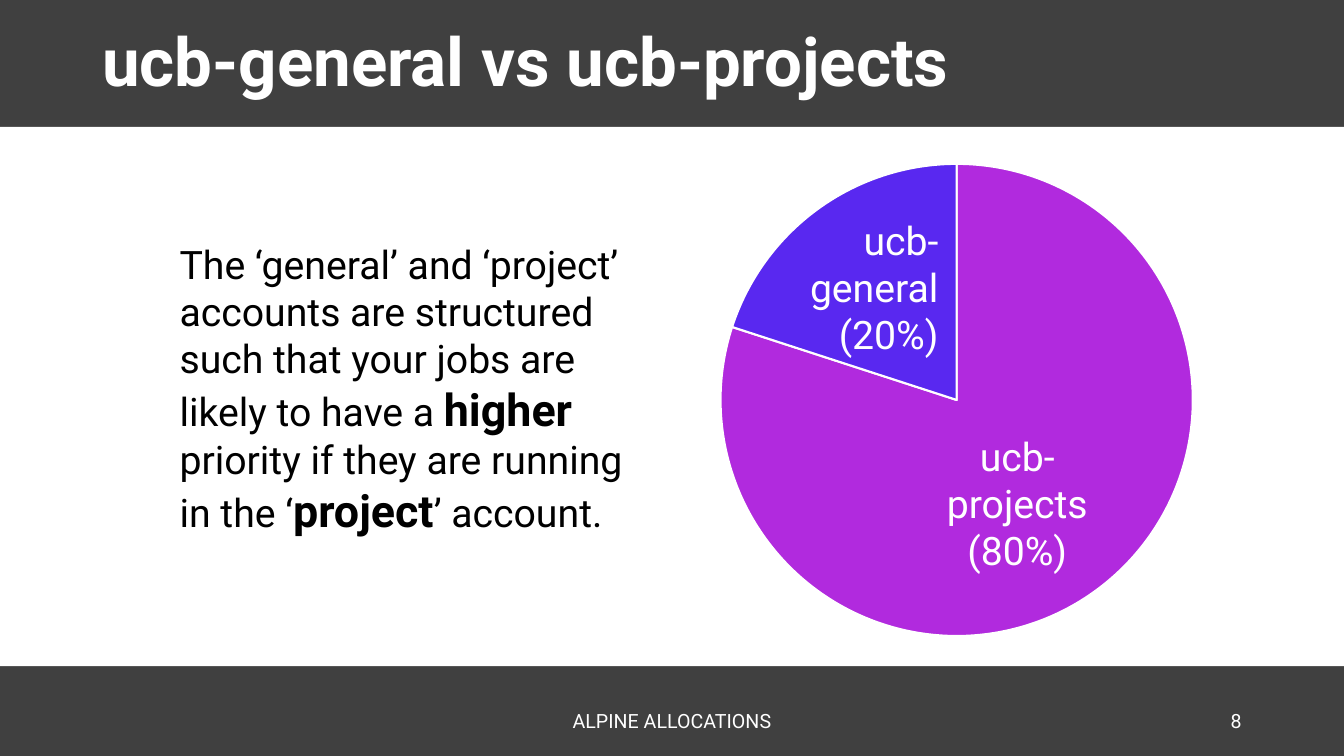
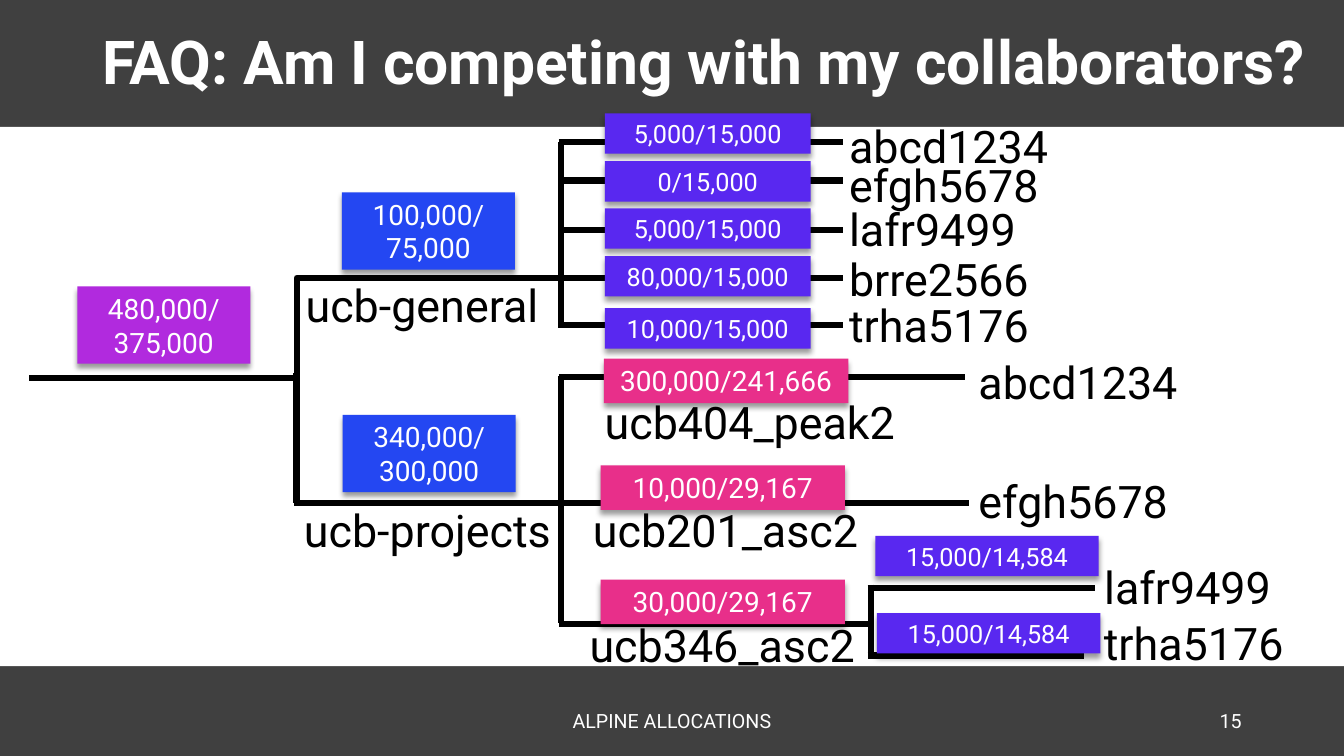
from lxml import etree
from pptx import Presentation
from pptx import util as u
from pptx.chart.data import CategoryChartData
from pptx.dml.color import RGBColor
from pptx.enum import chart as charts, shapes, text
from pptx.oxml import parse_xml
from pptx.oxml.ns import nsdecls, qn

deck = Presentation()
deck.slide_width, deck.slide_height = u.Inches(13.33), u.Inches(7.5)

# The slide is a grid of 160 columns and 90 rows.
COL, ROW = deck.slide_width / 160, deck.slide_height / 90
FONT = "Roboto"
GREY, WHITE, BLACK = "404040", "FFFFFF", "000000"
PURPLE, VIOLET, BLUE, PINK = "B12ADE", "5928F0", "2447F2", "E82F8A"
LEFT, CENTER, RIGHT = text.PP_ALIGN.LEFT, text.PP_ALIGN.CENTER, text.PP_ALIGN.RIGHT
TOP, MIDDLE = text.MSO_ANCHOR.TOP, text.MSO_ANCHOR.MIDDLE
color = RGBColor.from_string


def add_box(page, at, words="", fill=None, shadow=False, size=32, ink=BLACK,
            bold=False, align=LEFT, anchor=TOP, spacing=1.0):
    """Place text, on a rectangle if filled; *starred* words are bold and larger."""
    left, top, width, height = at
    area = [round(n) for n in (left * COL, top * ROW, width * COL, height * ROW)]
    if fill:
        box = page.shapes.add_shape(shapes.MSO_SHAPE.RECTANGLE, *area)
        box.fill.solid()
        box.fill.fore_color.rgb = color(fill)
        box.line.fill.background()
        box.shadow.inherit = False
    else:
        box = page.shapes.add_textbox(*area)
    if shadow:
        box._element.spPr.find(qn("a:effectLst")).append(parse_xml(
            f'<a:outerShdw {nsdecls("a")} blurRad="50800" dist="38100" dir="5400000">'
            f'<a:srgbClr val="{BLACK}"><a:alpha val="40000"/></a:srgbClr></a:outerShdw>'))
    frame = box.text_frame
    frame.word_wrap, frame.vertical_anchor = True, anchor
    para = frame.paragraphs[0]
    para.alignment, para.line_spacing = align, spacing
    for index, piece in enumerate(words.split("*")):
        strong = index % 2 == 1
        span = para.add_run()
        span.text = piece
        look = {"name": FONT, "size": u.Pt(size + 4 * strong), "bold": bold or strong}
        for name, value in look.items():
            setattr(span.font, name, value)
        span.font.color.rgb = color(ink)


def add_line(page, x1, y1, x2, y2, kind=shapes.MSO_CONNECTOR.STRAIGHT):
    line = page.shapes.add_connector(
        kind, *[round(n) for n in (x1 * COL, y1 * ROW, x2 * COL, y2 * ROW)])
    line.line.width = u.Pt(4.75)
    line.line.color.rgb = color(BLACK)
    etree.SubElement(line._element.spPr, qn("a:effectLst"))


# Shared frame: dark background, white band, title, footer, page number
backdrop = deck.slide_master.background.fill
backdrop.solid()
backdrop.fore_color.rgb = color(GREY)
footer = {"size": 14, "ink": WHITE, "anchor": MIDDLE}
pages = []
for title, size, width, number in [
        ("ucb-general vs ucb-projects", 48, 138, "8"),
        ("FAQ: Am I competing with my collaborators?", 43.2, 146.6, "15")]:
    page = deck.slides.add_slide(deck.slide_layouts[6])
    add_box(page, (0, 15.1, 160, 64.2), fill=WHITE)
    add_box(page, (11, 0.5, width, 14.4), title, size=size, ink=WHITE, bold=True,
            anchor=MIDDLE, spacing=0.9)
    add_box(page, (53, 83.4, 54, 4.8), "ALPINE ALLOCATIONS", align=CENTER, **footer)
    add_box(page, (113, 83.4, 36, 4.8), number, align=RIGHT, **footer)
    pages.append(page)
shares, tree = pages

# Shares: pie and explanation
data = CategoryChartData()
data.categories = ["1", "2"]
data.add_series("Series 1", (80, 20))
pie = shares.shapes.add_chart(
    charts.XL_CHART_TYPE.PIE, round(73 * COL), round(14.9 * ROW),
    round(85.2 * COL), round(66.1 * ROW), data).chart
pie.has_legend = pie.has_title = False
pie.font.name, pie.font.size = "Calibri", u.Pt(10)
pie.font.color.rgb = color(BLACK)
for index, fill in enumerate([PURPLE, VIOLET]):
    slice_format = pie.plots[0].series[0].points[index].format
    slice_format.fill.solid()
    slice_format.fill.fore_color.rgb = color(fill)
    slice_format.line.color.rgb = color(WHITE)
    slice_format.line.width = u.Pt(1.5)
plot_area = pie._chartSpace.chart.plotArea
for old in plot_area.findall(qn("c:layout")):
    plot_area.remove(old)
plot_area.insert(0, parse_xml(
    f'<c:layout {nsdecls("c")}><c:manualLayout><c:layoutTarget val="inner"/>'
    '<c:xMode val="edge"/><c:yMode val="edge"/><c:x val="0.15"/><c:y val="0"/>'
    '<c:w val="0.66"/><c:h val="0.99"/></c:manualLayout></c:layout>'))
add_box(shares, (108.4, 50.9, 25.4, 18.1), "ucb-projects (80%)",
        size=28, ink=WHITE, align=CENTER)
add_box(shares, (88.9, 25.2, 24, 18.1), "ucb-general (20%)",
        size=28, ink=WHITE, align=RIGHT)
add_box(shares, (20.2, 28, 57.1, 42.4),
        "The ‘general’ and ‘project’ accounts are structured such that your jobs "
        "are likely to have a *higher* priority if they are running in the "
        "‘*project*’ account.", size=28)

# Tree: branch row, label top, box top, usage, user
users = [
    (16.9, 13.6, 13.5, "5,000/15,000", "abcd1234"),
    (21.5, 18.2, 19.2, "0/15,000", "efgh5678"),
    (27.4, 23.4, 24.8, "5,000/15,000", "lafr9499"),
    (33.1, 29.4, 30.5, "80,000/15,000", "brre2566"),
    (38.7, 34.9, 36.7, "10,000/15,000", "trha5176"),
]
# branch row, branch end, label left, label top, box left, box top, usage, project
projects = [
    (44.9, 114.9, 70.8, 46.4, 71.9, 42.7, "300,000/241,666", "ucb404_peak2"),
    (59.9, 115.3, 69.4, 59.2, 71.5, 55.4, "10,000/29,167", "ucb201_asc2"),
    (74.3, 103.4, 69, 73, 71.5, 69, "30,000/29,167", "ucb346_asc2"),
]
# branch row, branch end, label left, label top, box left, box top, user
members = [
    (70, 130.4, 116.9, 66, 104.2, 63.8, "lafr9499"),
    (78, 129, 118.4, 72.7, 104.4, 73, "trha5176"),
]
accounts = [
    (9.2, 34.1, "480,000/ 375,000", PURPLE),
    (40.7, 22.9, "100,000/ 75,000", BLUE),
    (40.8, 49.4, "340,000/ 300,000", BLUE),
]
usage_box = {"shadow": True, "ink": WHITE, "align": CENTER}

add_line(tree, 3.5, 45, 67.2, 33.1, shapes.MSO_CONNECTOR.ELBOW)
for x, top, bottom in [(35.3, 44.4, 59.9), (66.8, 16.9, 39.1),
                       (66.8, 44.8, 74.2), (103.7, 69.6, 78)]:
    add_line(tree, x, top, x, bottom)
add_line(tree, 35, 59.9, 66.8, 59.9)

for left, top, name in [(35.2, 32.5, "ucb-general"), (35, 59.2, "ucb-projects"),
                        (115.3, 41.6, "abcd1234"), (115.3, 55.8, "efgh5678")]:
    add_box(tree, (left, top, 35.6, 7.7), name)
for left, top, usage, fill in accounts:
    add_box(tree, (left, top, 20.6, 9.2), usage, fill, size=20, **usage_box)
for row, label_top, box_top, usage, user in users:
    add_line(tree, 66.5, row, 100.4, row)
    add_box(tree, (99.9, label_top, 35.6, 7.7), user)
    add_box(tree, (72, box_top, 24.5, 4.8), usage, VIOLET, size=18, **usage_box)
for row, end, label_left, label_top, box_left, box_top, usage, project in projects:
    add_line(tree, 66.5, row, end, row)
    add_box(tree, (label_left, label_top, 37.6, 7.7), project)
    add_box(tree, (box_left, box_top, 29.1, 5.3), usage, PINK, size=20, **usage_box)
for row, end, label_left, label_top, box_left, box_top, user in members:
    add_line(tree, 103.3, row, end, row)
    add_box(tree, (label_left, label_top, 35.6, 7.7), user, align=RIGHT)
    add_box(tree, (box_left, box_top, 26.6, 4.8), "15,000/14,584", VIOLET,
            size=18, **usage_box)

deck.save("out.pptx")
